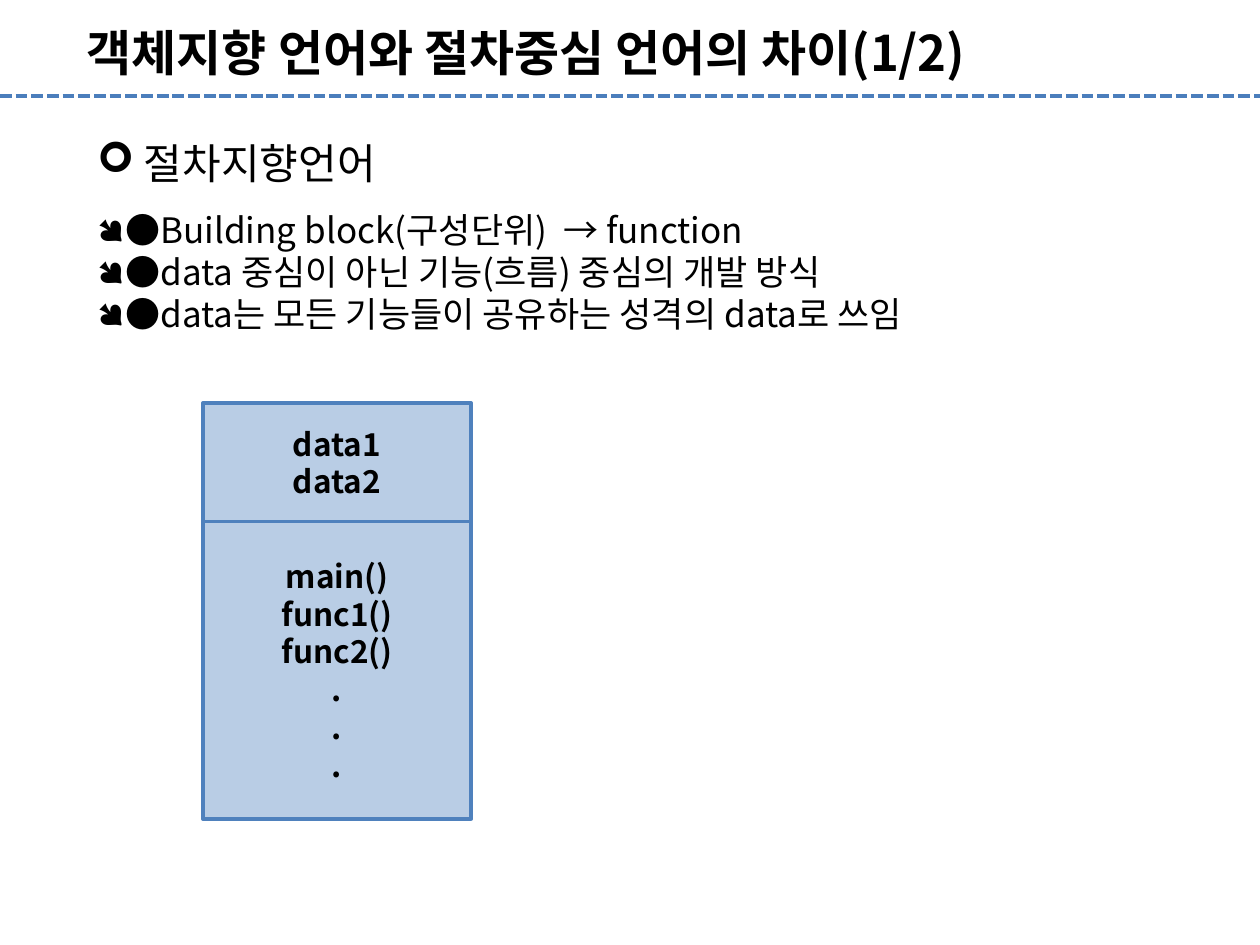
from dataclasses import dataclass

from lxml.etree import SubElement
from pptx import Presentation
from pptx.dml.color import RGBColor
from pptx.enum.dml import MSO_LINE
from pptx.enum.shapes import MSO_CONNECTOR as Connector, MSO_SHAPE as Shape
from pptx.enum.text import MSO_ANCHOR as Anchor, MSO_AUTO_SIZE as AutoSize, PP_ALIGN as Align
from pptx.oxml.ns import qn
from pptx.util import Inches, Pt

FONT = "Noto Sans CJK KR"
BLACK = RGBColor(0x00, 0x00, 0x00)
RULE_BLUE = RGBColor(0x4B, 0x7E, 0xBC)
BOX_BLUE = RGBColor(0x4F, 0x81, 0xBD)
BOX_FILL = RGBColor(0xB9, 0xCD, 0xE5)


@dataclass
class Item:
    """One bulleted line of the body."""
    text: str
    bullet: str = "●"
    size: int = 20
    hanging: float = 0.19
    spacing: float = 1.0


@dataclass
class Block:
    """One compartment of the program diagram."""
    lines: list[str]
    top: float
    height: float


ITEMS = [
    Item(" 절차지향언어", "➢", 24, 0),
    Item("●Building block(구성단위)  → function", spacing=1.5),
    Item("●data 중심이 아닌 기능(흐름) 중심의 개발 방식"),
    Item("●data는 모든 기능들이 공유하는 성격의 data로 쓰임"),
]
BLOCKS = [
    Block(["main()", "func1()", "func2()", ".", ".", "."], 4.14, 2.36),
    Block(["data1", "data2"], 3.2, 0.94),
]


def place(shape, left: float, top: float, width: float, height: float) -> None:
    """Move and size a shape, in inches."""
    shape.left, shape.top = Inches(left), Inches(top)
    shape.width, shape.height = Inches(width), Inches(height)


def add_span(para, text: str, size: int, bold: bool = False) -> None:
    """Add one formatted run to a paragraph."""
    span = para.add_run()
    span.text = text
    span.font.name, span.font.size, span.font.bold = FONT, Pt(size), bold
    span.font.color.rgb = BLACK
    SubElement(span.font._element, qn("a:ea"), typeface=FONT)


def paragraph(frame, index: int):
    """Return the first paragraph, or a new one after it."""
    return frame.add_paragraph() if index else frame.paragraphs[0]


def prepare(frame) -> None:
    """Anchor a placeholder's text at the top without shrinking it."""
    frame.word_wrap = True
    frame.auto_size = AutoSize.NONE
    frame.vertical_anchor = Anchor.TOP


def fill_title(title) -> None:
    """Write the slide title."""
    place(title, 0.59, 0.13, 8.27, 0.57)
    prepare(title.text_frame)
    para = title.text_frame.paragraphs[0]
    para.alignment = Align.LEFT
    add_span(para, "객체지향 언어와 절차중심 언어의 차이(1/2)", 28, True)


def fill_body(body) -> None:
    """Write the bulleted list."""
    place(body, 0.67, 1.04, 8.58, 1.68)
    prepare(body.text_frame)
    for index, item in enumerate(ITEMS):
        para = paragraph(body.text_frame, index)
        para.line_spacing = item.spacing
        para.space_before = para.space_after = Pt(0)
        properties = para._p.get_or_add_pPr()
        properties.set("marL", str(Inches(item.hanging)))
        properties.set("indent", str(-Inches(item.hanging)))
        SubElement(properties, qn("a:buFont"), typeface="Wingdings")
        SubElement(properties, qn("a:buChar"), char=item.bullet)
        add_span(para, item.text, item.size)


def add_rule(page) -> None:
    """Draw the dashed line under the title."""
    rule = page.shapes.add_connector(
        Connector.STRAIGHT, Inches(0), Inches(0.76), Inches(10), Inches(0.76))
    rule.line.color.rgb = RULE_BLUE
    rule.line.width = Pt(2.25)
    rule.line.dash_style = MSO_LINE.SQUARE_DOT
    SubElement(rule._element.spPr, qn("a:effectLst"))


def add_block(page, block: Block) -> None:
    """Draw one compartment with its centred lines."""
    box = page.shapes.add_shape(
        Shape.RECTANGLE, Inches(1.61), Inches(block.top), Inches(2.13), Inches(block.height))
    box.shadow.inherit = False
    box.fill.solid()
    box.fill.fore_color.rgb = BOX_FILL
    box.line.color.rgb = BOX_BLUE
    box.line.width = Pt(2)
    box.text_frame.vertical_anchor = Anchor.MIDDLE
    for index, line in enumerate(block.lines):
        para = paragraph(box.text_frame, index)
        para.alignment = Align.CENTER
        add_span(para, line, 18, True)


def main() -> None:
    """Build and save the slide."""
    deck = Presentation()
    deck.slide_width, deck.slide_height = Inches(10), Inches(7.5)
    page = deck.slides.add_slide(deck.slide_layouts[1])
    fill_title(page.shapes.title)
    fill_body(page.placeholders[1])
    add_rule(page)
    for block in BLOCKS:
        add_block(page, block)
    deck.save("out.pptx")


main()
